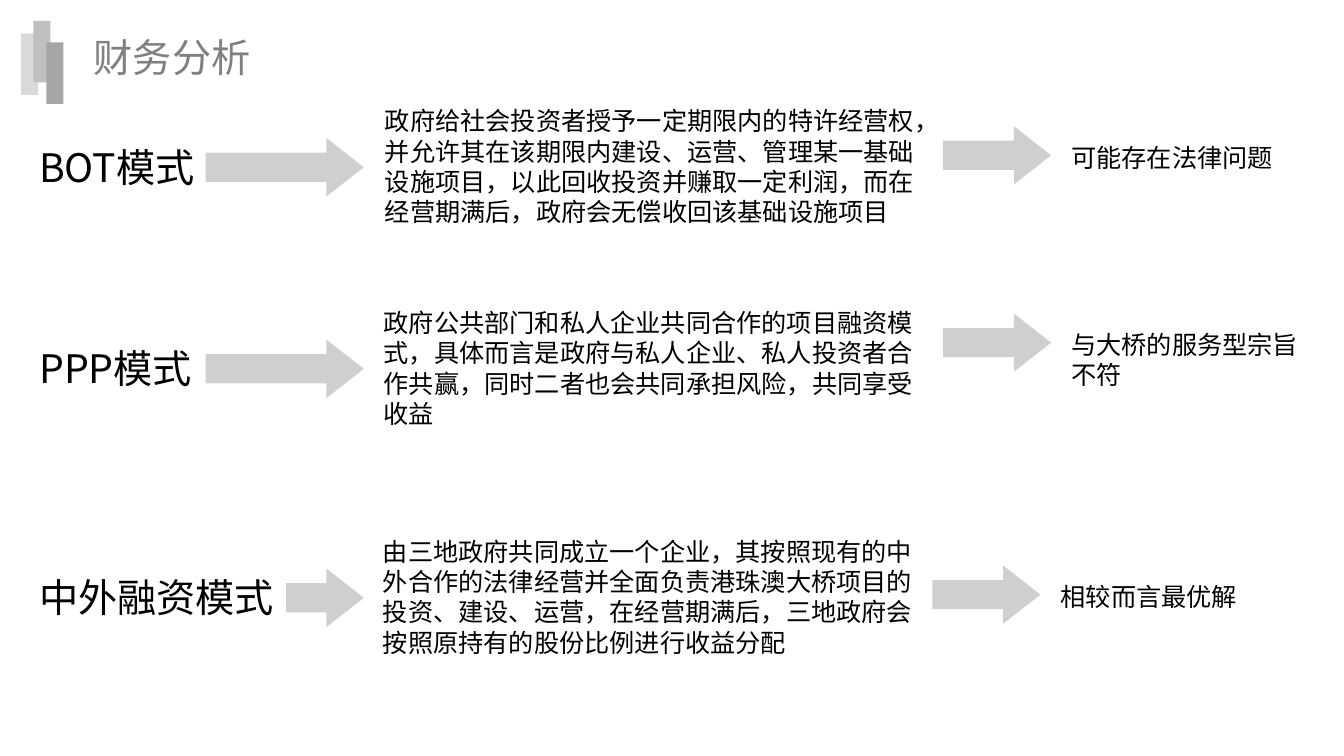
from dataclasses import dataclass

from lxml.etree import SubElement
from pptx import Presentation
from pptx.dml.color import RGBColor
from pptx.enum.shapes import MSO_SHAPE
from pptx.enum.text import MSO_ANCHOR, MSO_AUTO_SIZE, PP_ALIGN
from pptx.oxml.ns import qn
from pptx.shapes.autoshape import Shape
from pptx.shapes.shapetree import GroupShapes, SlideShapes
from pptx.util import Cm, Pt

BLACK = RGBColor(0x00, 0x00, 0x00)
TITLE_GRAY = RGBColor(0x80, 0x80, 0x80)
ARROW_GRAY = RGBColor(0xD0, 0xCE, 0xCE)
LIGHT_BAR = RGBColor(0xD9, 0xD9, 0xD9)
MIDDLE_BAR = RGBColor(0xBF, 0xBF, 0xBF)
DARK_BAR = RGBColor(0xA6, 0xA6, 0xA6)

BODY_FONT = "Noto Sans CJK SC"
LABEL_FONT = "Noto Sans CJK JP"
LINE_HEIGHT = 1.2

LABEL_LEFT, LABEL_WIDTH, LABEL_HEIGHT = 0.74, 9.93, 1.45
LABEL_DROP = 0.94
DESCRIPTION_WIDTH, DESCRIPTION_HEIGHT = 14.12, 3.33
ARROW_HEIGHT = 1.47
LABEL_ARROW_RIGHT = 9.17
VERDICT_ARROW_WIDTH = 2.72
VERDICT_SHIFT, VERDICT_DROP, VERDICT_WIDTH = 2.98, 0.28, 6.4


@dataclass(frozen=True)
class Bar:
    left: float
    top: float
    color: RGBColor


@dataclass(frozen=True)
class FinancingMode:
    label: str
    description: str
    verdict: str
    top: float
    description_left: float
    label_arrow_left: float
    verdict_arrow_left: float
    verdict_arrow_top: float
    verdict_height: float = 1.02


BARS = [
    Bar(0.53, 0.84, LIGHT_BAR),
    Bar(0.84, 0.53, MIDDLE_BAR),
    Bar(1.17, 1.07, DARK_BAR),
]

MODES = [
    FinancingMode(
        "BOT模式",
        "政府给社会投资者授予一定期限内的特许经营权，并允许其在该期限内建设、运营、管理某一基础设施项目，"
        "以此回收投资并赚取一定利润，而在经营期满后，政府会无偿收回该基础设施项目",
        "可能存在法律问题",
        2.54, 9.45, 5.18, 23.77, 3.18,
    ),
    FinancingMode(
        "PPP模式",
        "政府公共部门和私人企业共同合作的项目融资模式，具体而言是政府与私人企业、私人投资者合作共赢，"
        "同时二者也会共同承担风险，共同享受收益",
        "与大桥的服务型宗旨不符",
        7.62, 9.42, 5.18, 23.77, 7.9, 1.8,
    ),
    FinancingMode(
        "中外融资模式",
        "由三地政府共同成立一个企业，其按照现有的中外合作的法律经营并全面负责港珠澳大桥项目的投资、建设、运营，"
        "在经营期满后，三地政府会按照原持有的股份比例进行收益分配",
        "相较而言最优解",
        13.39, 9.4, 7.21, 23.5, 14.25,
    ),
]


def write_text(shape: Shape, text: str, *, size: float = 18, font_name: str = BODY_FONT,
               color: RGBColor = BLACK, wrap: bool = True) -> None:
    frame = shape.text_frame
    frame.word_wrap = wrap
    frame.auto_size = MSO_AUTO_SIZE.SHAPE_TO_FIT_TEXT
    frame.vertical_anchor = MSO_ANCHOR.TOP
    paragraph = frame.paragraphs[0]
    paragraph.alignment = PP_ALIGN.LEFT
    paragraph.line_spacing = Pt(size * LINE_HEIGHT)
    run = paragraph.add_run()
    run.text = text
    run.font.size = Pt(size)
    run.font.name = font_name
    run.font.color.rgb = color
    SubElement(run.font._element, qn("a:ea")).set("typeface", font_name)


def add_text(shapes: SlideShapes, text: str, left: float, top: float, width: float,
             height: float, **text_format) -> None:
    box = shapes.add_textbox(Cm(left), Cm(top), Cm(width), Cm(height))
    write_text(box, text, **text_format)


def add_filled(shapes: SlideShapes | GroupShapes, kind: MSO_SHAPE, left: float, top: float,
               width: float, height: float, color: RGBColor) -> Shape:
    shape = shapes.add_shape(kind, Cm(left), Cm(top), Cm(width), Cm(height))
    shape.shadow.inherit = False
    shape.fill.solid()
    shape.fill.fore_color.rgb = color
    shape.line.fill.background()
    return shape


def add_arrow(shapes: SlideShapes, left: float, top: float, width: float) -> None:
    arrow = add_filled(shapes, MSO_SHAPE.RIGHT_ARROW, left, top, width, ARROW_HEIGHT, ARROW_GRAY)
    arrow.adjustments[1] = 0.64


def add_mode(shapes: SlideShapes, mode: FinancingMode) -> None:
    label_top = mode.top + LABEL_DROP
    add_text(shapes, mode.label, LABEL_LEFT, label_top, LABEL_WIDTH, LABEL_HEIGHT,
             size=28, font_name=LABEL_FONT)
    add_text(shapes, mode.description, mode.description_left, mode.top,
             DESCRIPTION_WIDTH, DESCRIPTION_HEIGHT)
    add_arrow(shapes, mode.label_arrow_left, label_top,
              LABEL_ARROW_RIGHT - mode.label_arrow_left)
    add_arrow(shapes, mode.verdict_arrow_left, mode.verdict_arrow_top, VERDICT_ARROW_WIDTH)
    add_text(shapes, mode.verdict, mode.verdict_arrow_left + VERDICT_SHIFT,
             mode.verdict_arrow_top + VERDICT_DROP, VERDICT_WIDTH, mode.verdict_height)


def main() -> None:
    presentation = Presentation()
    presentation.slide_width, presentation.slide_height = Cm(33.87), Cm(19.05)
    title_only = presentation.slide_layouts[5]
    slide = presentation.slides.add_slide(title_only)

    title = slide.shapes.title
    title.left, title.top, title.width, title.height = Cm(2.11), Cm(0.71), Cm(4.47), Cm(1.45)
    write_text(title, "财务分析", size=28, color=TITLE_GRAY, wrap=False)

    emblem = slide.shapes.add_group_shape()
    for bar in BARS:
        add_filled(emblem.shapes, MSO_SHAPE.RECTANGLE, bar.left, bar.top, 0.43, 1.55, bar.color)

    for mode in MODES:
        add_mode(slide.shapes, mode)

    presentation.save("out.pptx")


if __name__ == "__main__":
    main()
